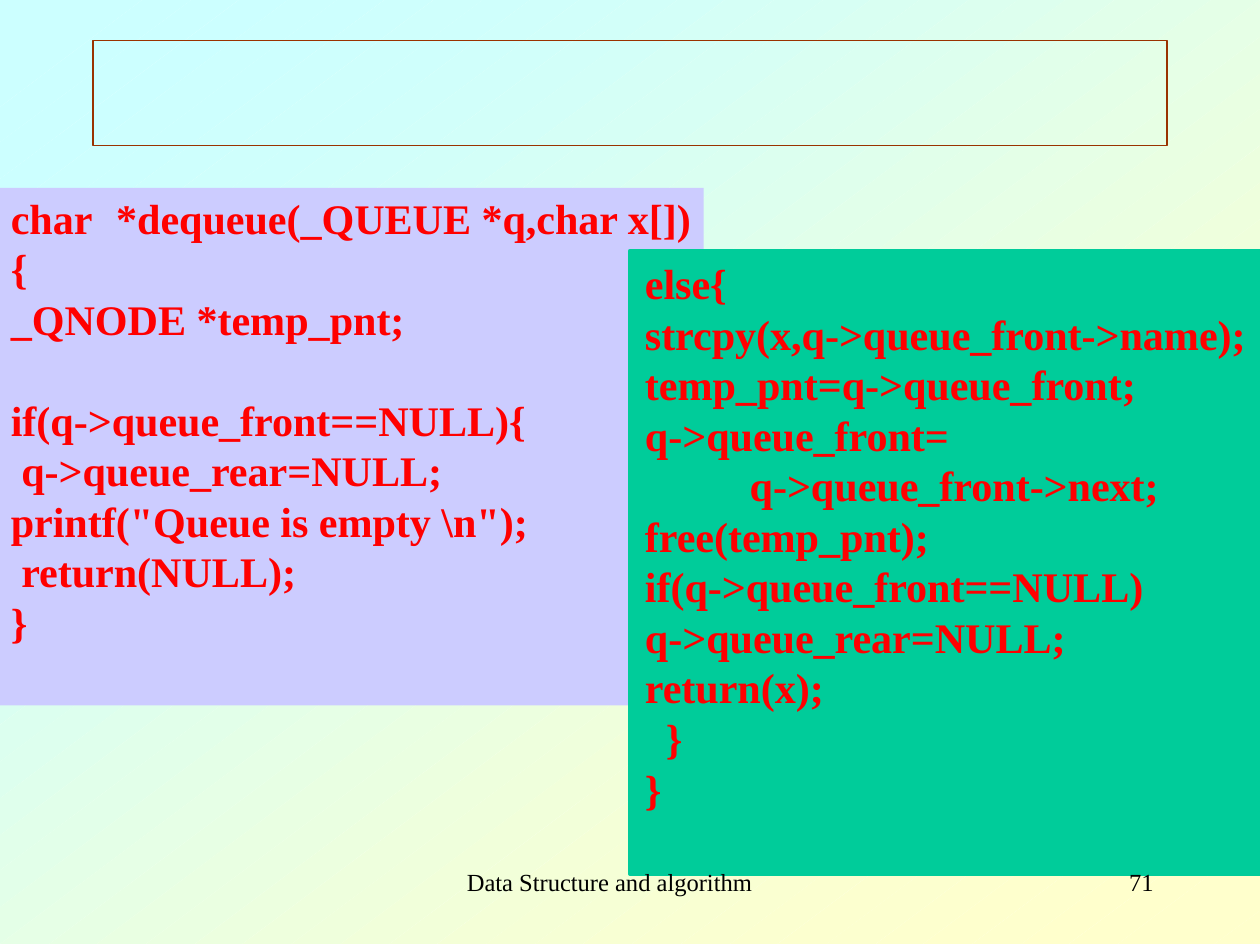
import math
from dataclasses import dataclass

import lxml.etree
import pptx
import pptx.dml.color
import pptx.enum.shapes
import pptx.enum.text
import pptx.oxml.ns
import pptx.util

Pt = pptx.util.Pt
qn = pptx.oxml.ns.qn


@dataclass(frozen=True)
class Theme:
    font: str = "Times New Roman"
    code_size: float = 24
    code_leading: float = 28.8
    footer_size: float = 14
    footer_leading: float = 16.2
    spacing: str = "-4"
    code: str = "FF0000"
    footer: str = "000000"
    frame: str = "9A3300"
    left_panel: str = "CCCCFF"
    right_panel: str = "00CC9A"
    sky: tuple = (0xCC, 0xFF, 0xFF)
    cream: tuple = (0xFF, 0xFF, 0xCC)


THEME = Theme()
WIDTH, HEIGHT = 718, 538

DEQUEUE_START = [
    "char\t*dequeue(_QUEUE *q,char x[])",
    "{",
    "_QNODE *temp_pnt;",
    "",
    "if(q->queue_front==NULL){",
    " q->queue_rear=NULL;",
    'printf("Queue is empty \\n");',
    " return(NULL);",
    "}",
]
DEQUEUE_END = [
    "else{",
    "strcpy(x,q->queue_front->name);",
    "temp_pnt=q->queue_front;",
    "q->queue_front=",
    "          q->queue_front->next;",
    "free(temp_pnt);",
    "if(q->queue_front==NULL)",
    "q->queue_rear=NULL;",
    "return(x);",
    "  }",
    "}",
]


def rgb(value):
    return pptx.dml.color.RGBColor.from_string(value)


def diagonal(box, reach):
    x, y, w, h = box
    if reach <= w:
        return [(x + reach, y), (x, y + h * reach / w)]
    past = reach - w
    return [(x + w, y + h * past / w), (x + past, y + h)]


def add_gradient_bands(s, box, step=27.7):
    x, y, w, h = box
    edges = [0] + [w + step * i for i in range(-23, 24)] + [w + step * 25, 2 * w]
    last = len(edges) - 2
    for i, (start, end) in enumerate(zip(edges, edges[1:])):
        share = (1 - math.cos(math.pi * i / last)) / 2
        color = [round(a + (b - a) * share) for a, b in zip(THEME.sky, THEME.cream)]
        points = diagonal(box, start) + diagonal(box, end)[::-1]
        fb = s.shapes.build_freeform(*points[0], scale=Pt(1))
        fb.add_line_segments(points[1:], close=True)
        sp = fb.convert_to_shape()
        sp.shadow.inherit = False
        sp.fill.solid()
        sp.fill.fore_color.rgb = pptx.dml.color.RGBColor(*color)
        sp.line.fill.background()


def add_box(s, box, fill=None, line=None, line_width=1):
    sp = s.shapes.add_shape(pptx.enum.shapes.MSO_SHAPE.RECTANGLE, *map(Pt, box))
    sp.shadow.inherit = False
    if fill:
        sp.fill.solid()
        sp.fill.fore_color.rgb = rgb(fill)
    else:
        sp.fill.background()
    if line:
        sp.line.color.rgb = rgb(line)
        sp.line.width = Pt(line_width)
    else:
        sp.line.fill.background()
    return sp


def set_up_frame(tf, left=0, top=0):
    tf.word_wrap = False
    tf.vertical_anchor = pptx.enum.text.MSO_ANCHOR.TOP
    tf.margin_left, tf.margin_top = Pt(left), Pt(top)
    tf.margin_right = tf.margin_bottom = 0


def add_line(p, text, size, leading, color, bold=False):
    p.alignment = pptx.enum.text.PP_ALIGN.LEFT
    p.line_spacing = Pt(leading)
    r = p.add_run()
    r.text = text
    r.font.name = THEME.font
    r.font.size = Pt(size)
    r.font.bold = bold
    r.font.color.rgb = rgb(color)
    r._r.get_or_add_rPr().set("spc", THEME.spacing)


def add_code_panel(s, box, lines, left, top, fill, line=None):
    tf = add_box(s, box, fill, line, 2.5).text_frame
    set_up_frame(tf, left, top)
    p, gap = tf.paragraphs[0], 0
    for i, text in enumerate(lines):
        if not text:
            gap += THEME.code_leading
            continue
        if i:
            p = tf.add_paragraph()
            p.space_before = Pt(gap)
        if "\t" in text:
            tabs = lxml.etree.SubElement(p._p.get_or_add_pPr(), qn("a:tabLst"))
            lxml.etree.SubElement(tabs, qn("a:tab"), pos=str(Pt(60)), algn="l")
        add_line(p, text, THEME.code_size, THEME.code_leading, THEME.code, True)
        gap = 0


def add_footer(s, box, caption, number):
    x, y, w, h = box
    for text, left, width in ((caption, x, 187), (number, x + w - 20, 20)):
        tf = s.shapes.add_textbox(*map(Pt, (left, y, width, h))).text_frame
        set_up_frame(tf)
        add_line(tf.paragraphs[0], text, THEME.footer_size, THEME.footer_leading, THEME.footer)


def build_code_slide(prs):
    s = prs.slides.add_slide(prs.slide_layouts[6])
    add_gradient_bands(s, (0, 0, WIDTH, HEIGHT))
    add_box(s, (53, 23, 612, 60), line=THEME.frame, line_width=0.75)
    add_code_panel(s, (0, 107, 401, 295), DEQUEUE_START, 6.2, 2.4, THEME.left_panel)
    add_code_panel(s, (359, 143, 359, 355), DEQUEUE_END, 8.5, 3.8,
                   THEME.right_panel, THEME.right_panel)
    add_footer(s, (266, 494.5, 397.5, 17), "Data Structure and algorithm", "71")


def main():
    prs = pptx.Presentation()
    prs.slide_width, prs.slide_height = Pt(WIDTH), Pt(HEIGHT)
    build_code_slide(prs)
    prs.save("out.pptx")


if __name__ == "__main__":
    main()
